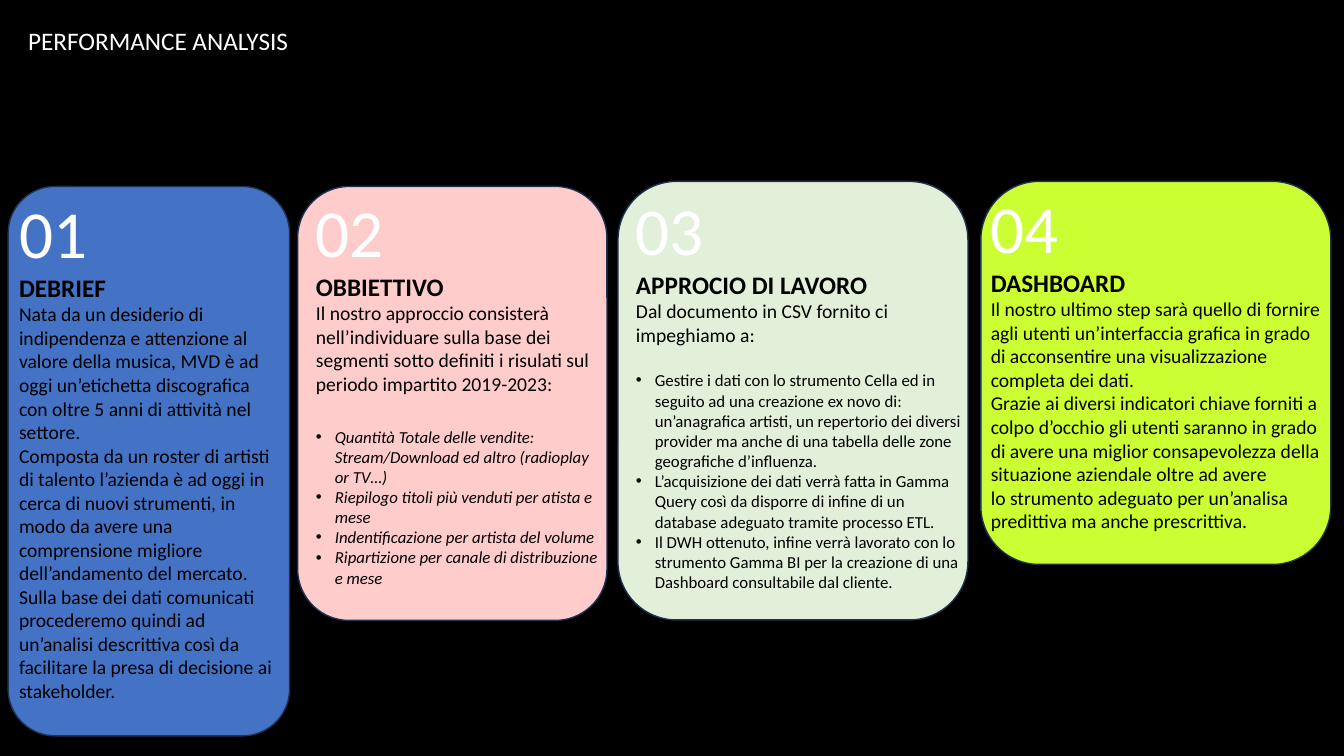
import pptx
import pptx.dml.color
import pptx.enum.shapes
import pptx.enum.text
import pptx.oxml
import pptx.util

Pt = pptx.util.Pt


def color(hex_string):
    return pptx.dml.color.RGBColor.from_string(hex_string)


def write(box, text, size=14, ink="000000", bold=False, italic=False, bullet=False, before=0):
    frame = box.text_frame
    para = frame.paragraphs[0] if not frame.text else frame.add_paragraph()
    para.space_before = Pt(before)
    span = para.add_run()
    span.text = text
    span.font.name = "Calibri"
    span.font.size = Pt(size)
    span.font.bold = bold
    span.font.italic = italic
    span.font.color.rgb = color(ink)
    if bullet:
        properties = para._p.get_or_add_pPr()
        properties.set("marL", str(Pt(13.5)))
        properties.set("indent", str(-Pt(13.5)))
        namespace = "http://schemas.openxmlformats.org/drawingml/2006/main"
        for tag in ('buFont typeface="Arial"', 'buChar char="•"'):
            properties.append(pptx.oxml.parse_xml(f'<a:{tag} xmlns:a="{namespace}"/>'))


deck = pptx.Presentation()
deck.slide_width = Pt(960)
deck.slide_height = Pt(540)
page = deck.slides.add_slide(deck.slide_layouts[6])
page.background.fill.solid()
page.background.fill.fore_color.rgb = color("000000")

title = page.shapes.add_textbox(Pt(13), Pt(14.5), Pt(343), Pt(29))
title.text_frame.word_wrap = True
write(title, "PERFORMANCE ANALYSIS", size=18, ink="FFFFFF")

cards = [
    {
        "heading": "DEBRIEF", "fill": "4472C4",
        "area": (5.8, 133.2, 201, 392.4), "text_at": (6.5, 133.2),
        "body": [
            "Nata da un desiderio di indipendenza e attenzione al valore della musica, MVD è ad oggi "
            "un’etichetta discografica con oltre 5 anni di attività nel settore.",
            "Composta da un roster di artisti di talento l’azienda è ad oggi in cerca di nuovi strumenti, "
            "in modo da avere una comprensione migliore dell’andamento del mercato.",
            "Sulla base dei dati comunicati procederemo quindi ad un’analisi descrittiva così da "
            "facilitare la presa di decisione ai stakeholder.",
        ],
        "bullets": [], "gap": 0, "italic": False,
    },
    {
        "heading": "OBBIETTIVO", "fill": "FFCCCC",
        "area": (212.6, 133.2, 221, 310), "text_at": (218.6, 132.5),
        "body": [
            "Il nostro approccio consisterà nell’individuare sulla base dei segmenti sotto definiti "
            "i risulati sul periodo impartito 2019-2023:",
        ],
        "bullets": [
            "Quantità Totale delle vendite: Stream/Download ed altro (radioplay or TV…)",
            "Riepilogo titoli più venduti per atista e mese",
            "Indentificazione per artista del volume",
            "Ripartizione per canale di distribuzione e mese",
        ],
        "gap": 22, "italic": True,
    },
    {
        "heading": "APPROCIO DI LAVORO", "fill": "E2F0D9",
        "area": (441.4, 129.6, 250, 313.2), "text_at": (447.2, 131),
        "body": ["Dal documento in CSV fornito ci impeghiamo a:"],
        "bullets": [
            "Gestire i dati con lo strumento Cella ed in seguito ad una creazione ex novo di: un’anagrafica "
            "artisti, un repertorio dei diversi provider ma anche di una tabella delle zone geografiche d’influenza.",
            "L’acquisizione dei dati verrà fatta in Gamma Query così da disporre di infine di un database "
            "adeguato tramite processo ETL.",
            "Il DWH ottenuto, infine verrà lavorato con lo strumento Gamma BI per la creazione di una "
            "Dashboard consultabile dal cliente.",
        ],
        "gap": 17, "italic": False,
    },
    {
        "heading": "DASHBOARD", "fill": "CCFF33",
        "area": (700.6, 129.6, 250, 273.6), "text_at": (700.6, 129.6),
        "body": [
            "Il nostro ultimo step sarà quello di fornire agli utenti un’interfaccia grafica in grado di "
            "acconsentire una visualizzazione completa dei dati.",
            "Grazie ai diversi indicatori chiave forniti a colpo d’occhio gli utenti saranno in grado di "
            "avere una miglior consapevolezza della situazione aziendale oltre ad avere",
            "lo strumento adeguato per un’analisa predittiva ma anche prescrittiva.",
        ],
        "bullets": [], "gap": 0, "italic": False,
    },
]

for number, card in enumerate(cards, start=1):
    left, top, width, height = (Pt(length) for length in card["area"])
    panel = page.shapes.add_shape(
        pptx.enum.shapes.MSO_SHAPE.ROUNDED_RECTANGLE, left, top, width, height)
    panel.shadow.inherit = False
    panel.fill.solid()
    panel.fill.fore_color.rgb = color(card["fill"])
    panel.line.color.rgb = color("1E3256")
    panel.line.width = Pt(1)

    text_left, text_top = (Pt(length) for length in card["text_at"])
    box = page.shapes.add_textbox(text_left, text_top, width, height)
    box.text_frame.word_wrap = True
    box.text_frame.auto_size = pptx.enum.text.MSO_AUTO_SIZE.SHAPE_TO_FIT_TEXT
    write(box, f"{number:02}", size=48, ink="FFFFFF")
    write(box, card["heading"], size=18, bold=True)
    for text in card["body"]:
        write(box, text)
    for index, text in enumerate(card["bullets"]):
        write(box, text, size=12, italic=card["italic"], bullet=True,
              before=card["gap"] if index == 0 else 0)

deck.save("out.pptx")
